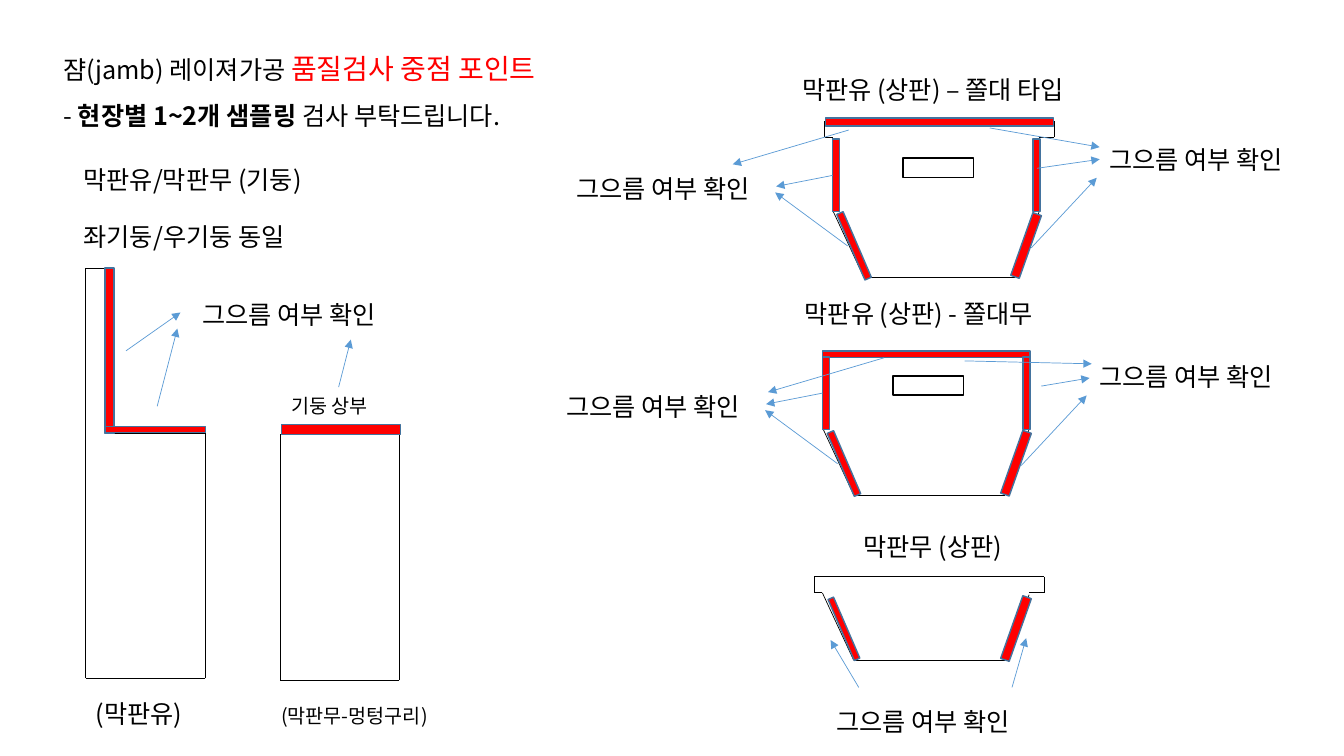
"""Build the slide on inspection points for laser-cut door jambs."""
from lxml.etree import SubElement
from pptx import Presentation
from pptx.dml.color import RGBColor
from pptx.enum.shapes import MSO_CONNECTOR, MSO_SHAPE
from pptx.enum.text import MSO_ANCHOR, MSO_AUTO_SIZE, PP_ALIGN
from pptx.oxml.ns import qn
from pptx.util import Pt

FONT = "Noto Sans CJK KR"
BLACK, RED, BLUE, EDGE = "000000", "FF0000", "5B9BD5", "43739E"
CHECK = "그으름 여부 확인"


def write(para, text, size=18, color=BLACK, bold=False, align=PP_ALIGN.LEFT):
    para.alignment = align
    span = para.add_run()
    span.text = text
    span.font.size = Pt(size)
    span.font.bold = bold
    span.font.color.rgb = RGBColor.from_string(color)
    span.font.name = FONT
    SubElement(span.font._element, qn("a:ea"), typeface=FONT)


def draw_line(x1, y1, x2, y2, color=BLACK, arrow=False):
    line = page.shapes.add_connector(
        MSO_CONNECTOR.STRAIGHT, Pt(x1), Pt(y1), Pt(x2), Pt(y2))
    line.line.color.rgb = RGBColor.from_string(color)
    line.line.width = Pt(0.5)
    if arrow:
        SubElement(line.line._get_or_add_ln(), qn("a:tailEnd"), type="triangle")
    SubElement(line._element.spPr, qn("a:effectLst"))
    return line


deck = Presentation()
deck.slide_width, deck.slide_height = Pt(960), Pt(540)
page = deck.slides.add_slide(deck.slide_layouts[5])

title = page.shapes.title
title.left, title.top, title.width, title.height = Pt(38.2), Pt(20.9), Pt(448), Pt(76.3)
frame = title.text_frame
frame.word_wrap = True
frame.auto_size = MSO_AUTO_SIZE.NONE
frame.vertical_anchor = MSO_ANCHOR.TOP
heading, request = frame.paragraphs[0], frame.add_paragraph()
heading.line_spacing = request.line_spacing = 1.5
write(heading, "쟘(jamb) 레이져가공 ")
write(heading, "품질검사 중점 포인트", size=20, color=RED)
write(request, "- ")
write(request, "현장별 1~2개 샘플링 ", bold=True)
write(request, "검사 부탁드립니다.")

center = PP_ALIGN.CENTER
labels = [
    ("막판유/막판무 (기둥)", 52.6, 113.8, 316, {}),
    ("좌기둥/우기둥 동일", 52.6, 154.8, 239, {}),
    (CHECK, 137.5, 210.2, 161.3, {}),
    ("(막판유)", 61.2, 495.4, 90, {}),
    ("(막판무-멍텅구리)", 193.7, 499, 171.4, {"size": 14}),
    ("기둥 상부", 200.9, 277.9, 106.6, {"size": 14}),
    ("막판유 (상판) – 쫄대 타입", 547.9, 49.7, 236.9, {"align": center}),
    ("막판유 (상판) - 쫄대무", 549.4, 209.5, 213.8, {"align": center}),
    ("막판무 (상판)", 573.8, 375.8, 185, {"align": center}),
    (CHECK, 404.6, 120.2, 161.3, {}),
    (CHECK, 785.5, 99.4, 161.3, {}),
    (CHECK, 397.4, 275.8, 161.3, {}),
    (CHECK, 778.3, 254.9, 161.3, {}),
    (CHECK, 590.4, 501.1, 161.3, {}),
]
for text, x, y, width, style in labels:
    box = page.shapes.add_textbox(Pt(x), Pt(y), Pt(width), Pt(28.8))
    box.text_frame.word_wrap = True
    write(box.text_frame.paragraphs[0], text, **style)

outlines = [
    [(61.2, 191.5), (61.2, 484.6), (146.6, 484.6), (146.6, 309.4),
     (78.5, 309.4), (78.5, 191.5), (61.2, 191.5)],
    [(200.2, 310.3), (200.2, 486), (285.1, 486), (285.1, 310.3)],
    [(590.4, 254.9), (733.7, 254.9)],
]
bars = [
    (74.9, 191.5, 6.5, 118.1, 0, RED),
    (74.9, 304.6, 72, 4.3, 0, RED),
    (200.9, 303.1, 85, 7.2, 0, RED),
    (587.5, 250.6, 148.3, 5, 0, RED),
    (589.7, 84.2, 162.7, 5.8, 0, RED),
]
arrows = [
    (90, 250.6, 128.9, 223.2), (112.3, 290.2, 126.7, 234.7),
    (241.9, 276.5, 250.6, 242.6),
    (606.2, 92.9, 523.4, 117.4), (707, 91.4, 785.5, 105.1),
    (740.9, 120.2, 785.5, 113.8),
    (631.4, 255.6, 548.6, 280.1), (689, 257.8, 779.8, 259.9),
    (743.8, 275.8, 778.3, 270),
    (613.4, 491, 593.3, 457.2), (722.9, 491, 733, 455.8),
]

for dx, dy in [(0, 0), (-7.2, 325.4)]:
    lid = [(594.7, 98), (589, 98), (589, 86.4), (753, 86.4), (753, 98), (742.3, 98)]
    outlines.append([(x + dx, y + dy) for x, y in lid])

panels = [(0, 0, 51, 5, True), (-7.2, 155.5, 49, 5, True), (-7.2, 273.6, 47.5, 4.3, False)]
for dx, dy, length, thickness, has_legs in panels:
    funnel = [(594.7, 150), (617, 198), (725, 198), (742.3, 151.2)]
    if has_legs:
        funnel = [(594.7, 98), *funnel, (742.3, 98)]
        bars += [(594.7 + dx, 99.4 + dy, 5, 51.8, 0, RED),
                 (738 + dx, 99.4 + dy, 5, 51.8, 0, RED),
                 (645.1 + dx, 113 + dy, 50.4, 13.7, 0, None)]
        arrows += [(594.7 + dx, 125.3 + dy, 554.4 + dx, 133.2 + dy),
                   (605.5 + dx, 175.7 + dy, 553.7 + dx, 137.5 + dy),
                   (736.6 + dx, 177.1 + dy, 783.4 + dx, 127 + dy)]
    outlines.append([(x + dx, y + dy) for x, y in funnel])
    bars += [(610 + dx - length / 2, 175.6 + dy - thickness / 2, length, thickness, 66.7, RED),
             (709.2 + dx, 172.1 + dy, 47.5, 6.5, 289.5, RED)]

for outline in outlines:
    for start, end in zip(outline, outline[1:]):
        draw_line(*start, *end)

left_sides = {}
for x, y, width, height, angle, fill in bars:
    bar = page.shapes.add_shape(MSO_SHAPE.RECTANGLE, Pt(x), Pt(y), Pt(width), Pt(height))
    bar.shadow.inherit = False
    bar.rotation = angle
    bar.line.width = Pt(1)
    bar.line.color.rgb = RGBColor.from_string(EDGE if fill else BLACK)
    if fill:
        bar.fill.solid()
        bar.fill.fore_color.rgb = RGBColor.from_string(fill)
    else:
        bar.fill.background()
    left_sides[round(x, 1), round(y + height / 2, 1)] = bar

for x1, y1, x2, y2 in arrows:
    arrow = draw_line(x1, y1, x2, y2, color=BLUE, arrow=True)
    side = round(x1, 1), round(y1, 1)
    if side in left_sides:
        arrow.begin_connect(left_sides[side], 1)

deck.save("out.pptx")
